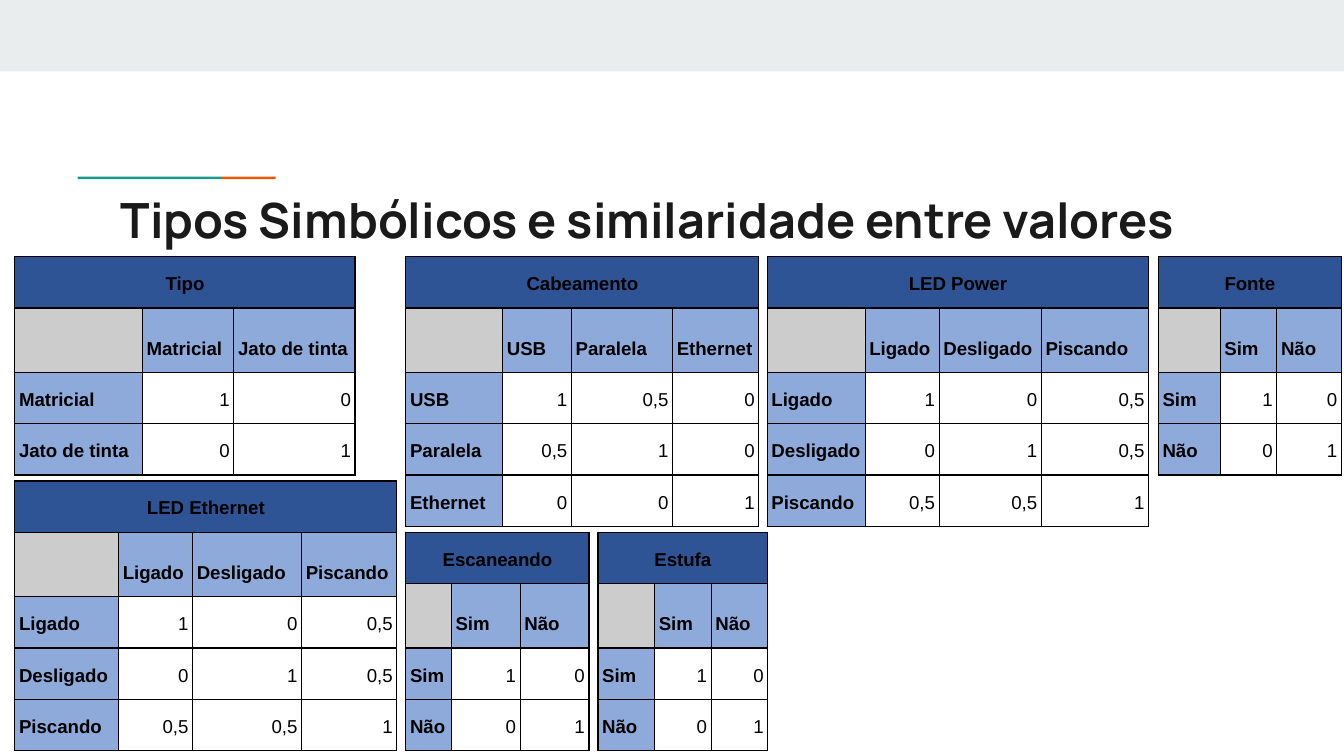
from lxml import etree
from pptx import Presentation
from pptx.dml.color import RGBColor
from pptx.enum.shapes import MSO_SHAPE
from pptx.enum.text import MSO_ANCHOR, MSO_AUTO_SIZE, PP_ALIGN
from pptx.oxml.ns import qn
from pptx.util import Cm, Pt

RECTANGLE = MSO_SHAPE.RECTANGLE
TOP, BOTTOM = MSO_ANCHOR.TOP, MSO_ANCHOR.BOTTOM
LEFT, CENTER, RIGHT = PP_ALIGN.LEFT, PP_ALIGN.CENTER, PP_ALIGN.RIGHT
NO_AUTOFIT = MSO_AUTO_SIZE.NONE
TITLE_ONLY = 5

BAND, TEAL, ORANGE = "E9EDEE", "1A9988", "EB5600"
TITLE_INK, BLACK = "1A1A1A", "000000"
DARK_BLUE, LIGHT_BLUE, GRAY = "2F5496", "8EAADB", "CCCCCC"

ROW_HEIGHT, HEADER_HEIGHT = 0.97, 1.22
UPPER_TOP = 4.85
CELL_FORMAT = {
    "margin_left": Cm(0.08), "margin_right": Cm(0.08),
    "margin_top": Cm(0.25), "margin_bottom": Cm(0.25),
    "vertical_anchor": BOTTOM,
}
TITLE_FRAME_FORMAT = {
    "margin_left": Cm(0.25), "margin_right": Cm(0.25),
    "margin_top": Cm(0.25), "margin_bottom": Cm(0.25),
    "vertical_anchor": TOP, "word_wrap": True, "auto_size": NO_AUTOFIT,
}

YES_NO = ["Sim", "Não"]
LED_STATES = ["Ligado", "Desligado", "Piscando"]
IDENTITY = [["1", "0"], ["0", "1"]]
LED_SIMILARITY = [["1", "0", "0,5"], ["0", "1", "0,5"], ["0,5", "0,5", "1"]]
CABLE_SIMILARITY = [["1", "0,5", "0"], ["0,5", "1", "0"], ["0", "0", "1"]]

# caption, left, top, column widths, value names, similarities
SIMILARITY_TABLES = [
    ("Tipo", 0.28, UPPER_TOP, [2.41, 1.73, 2.29],
     ["Matricial", "Jato de tinta"], IDENTITY),
    ("Cabeamento", 7.67, UPPER_TOP, [1.83, 1.3, 1.91, 1.63],
     ["USB", "Paralela", "Ethernet"], CABLE_SIMILARITY),
    ("Fonte", 21.89, UPPER_TOP, [1.17, 1.07, 1.22], YES_NO, IDENTITY),
    ("LED Power", 14.5, UPPER_TOP, [1.85, 1.4, 1.93, 2.03],
     LED_STATES, LED_SIMILARITY),
    ("LED Ethernet", 0.28, 9.09, [1.96, 1.4, 2.06, 1.8],
     LED_STATES, LED_SIMILARITY),
    ("Escaneando", 7.67, 10.06, [0.86, 1.3, 1.3], YES_NO, IDENTITY),
    ("Estufa", 11.3, 10.06, [1.07, 1.07, 1.07], YES_NO, IDENTITY),
]


def color(hex_string):
    return RGBColor.from_string(hex_string)


def apply_format(target, values):
    for name, value in values.items():
        setattr(target, name, value)


def add_borders(cell):
    properties = cell._tc.get_or_add_tcPr()
    for side in ("lnL", "lnR", "lnT", "lnB"):
        line = etree.SubElement(properties, qn(f"a:{side}"), w=str(Pt(0.75)))
        fill = etree.SubElement(line, qn("a:solidFill"))
        etree.SubElement(fill, qn("a:srgbClr"), val=BLACK)


class SlideBuilder:
    """Holds the fonts and the slide being filled."""

    def __init__(self, slide, title_font, table_font):
        self.slide = slide
        self.title_font = title_font
        self.table_font = table_font

    def add_rectangle(self, left, top, width, height, fill):
        shape = self.slide.shapes.add_shape(
            RECTANGLE, Cm(left), Cm(top), Cm(width), Cm(height))
        shape.shadow.inherit = False
        shape.fill.solid()
        shape.fill.fore_color.rgb = color(fill)
        shape.line.fill.background()

    def set_title(self, text, left, top, width, height):
        title = self.slide.shapes.title
        apply_format(title, {"left": Cm(left), "top": Cm(top),
                             "width": Cm(width), "height": Cm(height)})
        apply_format(title.text_frame, TITLE_FRAME_FORMAT)
        paragraph = title.text_frame.paragraphs[0]
        paragraph.alignment = LEFT
        paragraph.line_spacing = 1.0
        self.add_run(paragraph, text, TITLE_INK,
                     {"name": self.title_font, "size": Pt(26), "bold": True})

    def add_run(self, paragraph, text, ink, font_format):
        run = paragraph.add_run()
        run.text = text
        apply_format(run.font, font_format)
        run.font.color.rgb = color(ink)

    def fill_cell(self, cell, text, fill, alignment, bold):
        add_borders(cell)
        if fill:
            cell.fill.solid()
            cell.fill.fore_color.rgb = color(fill)
        else:
            cell.fill.background()
        if text:
            apply_format(cell, CELL_FORMAT)
            paragraph = cell.text_frame.paragraphs[0]
            apply_format(paragraph, {"alignment": alignment, "line_spacing": 1.15})
            self.add_run(paragraph, text, BLACK,
                         {"name": self.table_font, "size": Pt(10), "bold": bold})

    def add_similarity_table(self, caption, left, top, widths, names, similarities):
        heights = [ROW_HEIGHT, HEADER_HEIGHT] + [ROW_HEIGHT] * len(names)
        table = self.slide.shapes.add_table(
            len(heights), len(widths), Cm(left), Cm(top),
            Cm(sum(widths)), Cm(sum(heights))).table
        apply_format(table, {"first_row": False, "horz_banding": False})
        for column, width in zip(table.columns, widths):
            column.width = Cm(width)
        for row, height in zip(table.rows, heights):
            row.height = Cm(height)

        table.cell(0, 0).merge(table.cell(0, len(names)))
        grid = [[caption] + [""] * len(names), [""] + names]
        grid += [[name] + values for name, values in zip(names, similarities)]
        for i, texts in enumerate(grid):
            for j, text in enumerate(texts):
                if i == 0:
                    style = (DARK_BLUE, CENTER, True)
                elif not text:
                    style = (GRAY, LEFT, True)
                elif i == 1 or j == 0:
                    style = (LIGHT_BLUE, LEFT, True)
                else:
                    style = (None, RIGHT, False)
                self.fill_cell(table.cell(i, j), text, *style)


def main():
    presentation = Presentation()
    presentation.slide_width = Cm(25.4)
    presentation.slide_height = Cm(14.29)
    slide = presentation.slides.add_slide(presentation.slide_layouts[TITLE_ONLY])
    builder = SlideBuilder(slide, "Manrope", "Arial")

    builder.add_rectangle(0, 0, 25.4, 1.35, BAND)
    builder.add_rectangle(4.18, 3.34, 1.03, 0.05, ORANGE)
    builder.add_rectangle(1.47, 3.34, 2.71, 0.05, TEAL)
    builder.set_title("Tipos Simbólicos e similaridade entre valores",
                      2.03, 3.35, 21.36, 1.5)
    for similarity_table in SIMILARITY_TABLES:
        builder.add_similarity_table(*similarity_table)

    presentation.save("out.pptx")


if __name__ == "__main__":
    main()
